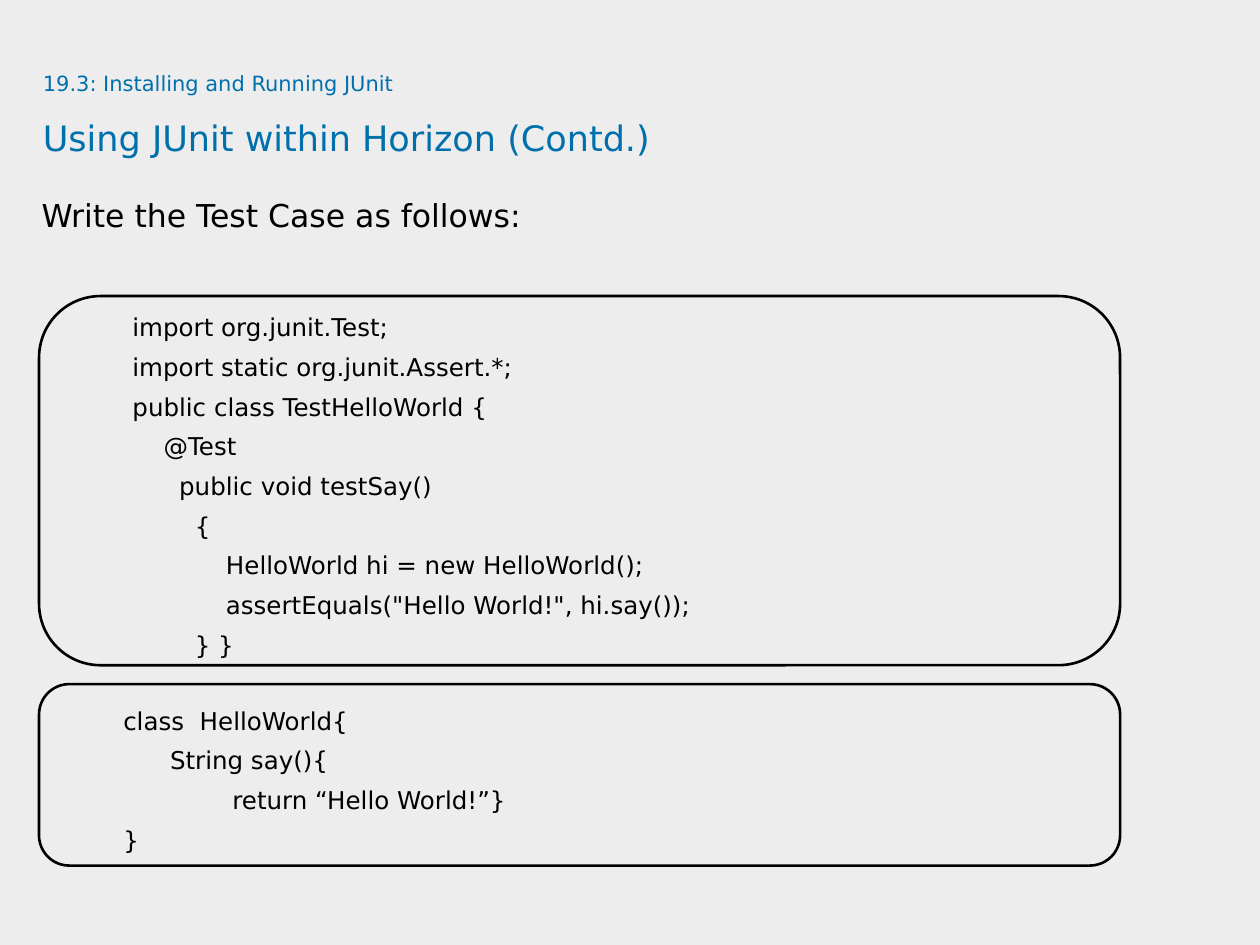
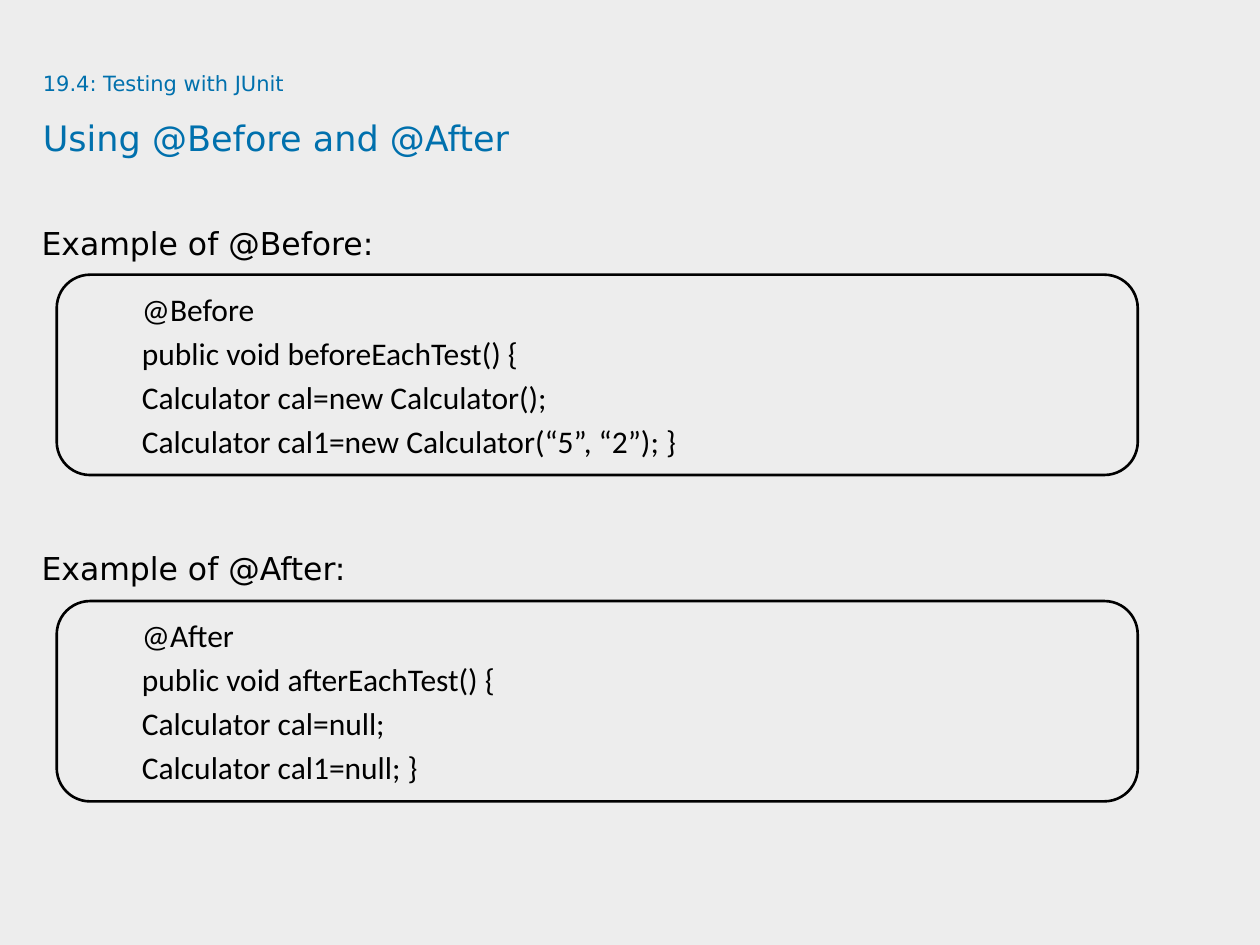
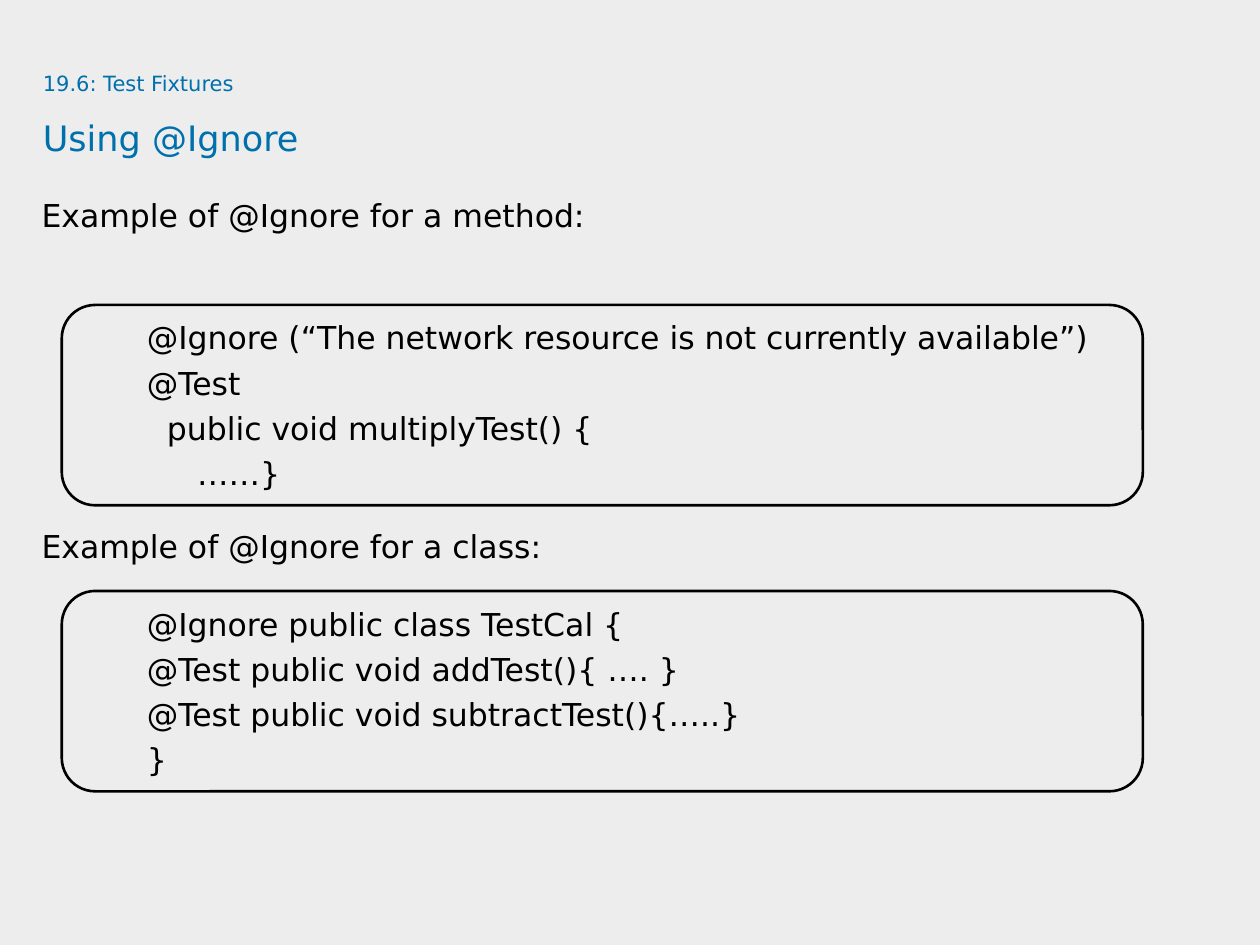
from dataclasses import dataclass

from pptx import Presentation
from pptx.dml.color import RGBColor
from pptx.enum.shapes import MSO_SHAPE
from pptx.enum.text import MSO_ANCHOR, PP_ALIGN
from pptx.util import Inches, Pt


@dataclass(frozen=True)
class Theme:
    back: str = "EDEDED"
    blue: str = "0070AD"
    ink: str = "000000"
    sans: str = "DejaVu Sans"
    plain: str = "Calibri"
    topic: int = 12
    title: int = 20
    body: int = 18
    code: int = 14
    space: float = 0.318  # width of a space in the sans font, in ems


THEME = Theme()
TITLE = (0.34, 0.46, 9.09, 0.94)
BODY = (0.33, 1.63, 9.67, 5.08)
WIDE = 8.58

# Code styles: font, size, line spacing, points before each line
SMALL = (THEME.sans, THEME.code, 1.35, 0)
LARGE = (THEME.sans, THEME.body, 1.0, 4.2)
PLAIN = (THEME.plain, THEME.body, 1.0, 3.6)

# Heads: line spacing and points before each later head.
# Boxes: top, height and code; leading spaces set the indent.
SLIDES = [
    {
        "topic": "19.3: Installing and Running JUnit",
        "title": "Using JUnit within Horizon (Contd.)",
        "heads": ["Write the Test Case as follows:"],
        "pace": (Pt(16.5), 0),
        "left": 0.31,
        "style": SMALL,
        "boxes": [
            (5.43, 1.44, """\
class  HelloWorld{
      String say(){
              return “Hello World!”}
}"""),
            (2.35, 2.93, """\
import org.junit.Test;
import static org.junit.Assert.*;
public class TestHelloWorld {
    @Test
      public void testSay()
        {
            HelloWorld hi = new HelloWorld();
            assertEquals("Hello World!", hi.say());
        } }"""),
        ],
    },
    {
        "topic": "19.4: Testing with JUnit",
        "title": "Using @Before and @After",
        "heads": ["Example of @Before:", "Example of @After:"],
        "pace": (1.5, 153),
        "left": 0.45,
        "style": PLAIN,
        "boxes": [
            (2.18, 1.59, """\
@Before
public void beforeEachTest() {
Calculator cal=new Calculator();
Calculator cal1=new Calculator(“5”, “2”); }"""),
            (4.77, 1.59, """\
@After
public void afterEachTest() {
Calculator cal=null;
Calculator cal1=null; }"""),
        ],
    },
    {
        "topic": "19.6: Test Fixtures",
        "title": "Using @Ignore",
        "heads": ["Example of @Ignore for a method:",
                  "Example of @Ignore for a class:"],
        "pace": (Pt(16.5), 172.5),
        "left": 0.49,
        "style": LARGE,
        "boxes": [
            (2.42, 1.59, """\
@Ignore (“The network resource is not currently available”)
@Test
  public void multiplyTest() {
     ……}"""),
            (4.69, 1.59, """\
@Ignore public class TestCal {
@Test public void addTest(){ …. }
@Test public void subtractTest(){…..}
}"""),
        ],
    },
]


def style(para, font, size, color, pace):
    para.alignment = PP_ALIGN.LEFT
    para.line_spacing = pace
    for run in para.runs:
        run.font.name = font
        run.font.size = Pt(size)
        run.font.color.rgb = RGBColor.from_string(color)


def add_text(slide, place, lines):
    """Add a box without margins and return its paragraphs."""
    frame = slide.shapes.add_textbox(*map(Inches, place)).text_frame
    frame.word_wrap = True
    frame.margin_left = frame.margin_right = 0
    frame.margin_top = frame.margin_bottom = 0
    frame.text = "\n".join(lines)
    return frame.paragraphs


def add_code(slide, place, code, look):
    font, size, pace, gap = look
    box = slide.shapes.add_shape(MSO_SHAPE.ROUNDED_RECTANGLE,
                                 *map(Inches, place))
    box.shadow.inherit = False
    box.fill.background()
    box.line.color.rgb = RGBColor.from_string(THEME.ink)
    box.line.width = Pt(1.5)
    frame = box.text_frame
    frame.word_wrap = True
    frame.vertical_anchor = MSO_ANCHOR.MIDDLE
    lines = code.split("\n")
    frame.text = "\n".join(line.lstrip() for line in lines)
    for para, line in zip(frame.paragraphs, lines):
        style(para, font, size, THEME.ink, pace)
        para.space_before = Pt(gap)
        depth = len(line) - len(line.lstrip())
        left = Inches(0.5) + Pt(depth * size * THEME.space)
        props = para._p.get_or_add_pPr()
        props.set("marL", str(left))
        props.set("indent", "0")


def add_slide(deck, page):
    slide = deck.slides.add_slide(deck.slide_layouts[6])
    fill = slide.background.fill
    fill.solid()
    fill.fore_color.rgb = RGBColor.from_string(THEME.back)

    paras = add_text(slide, TITLE, [page["topic"], page["title"]])
    for para, size in zip(paras, (THEME.topic, THEME.title)):
        style(para, THEME.sans, size, THEME.blue, 1.5)

    pace, gap = page["pace"]
    for i, para in enumerate(add_text(slide, BODY, page["heads"])):
        style(para, THEME.sans, THEME.body, THEME.ink, pace)
        para.space_before = Pt(gap if i else 0)

    for top, high, code in page["boxes"]:
        add_code(slide, (page["left"], top, WIDE, high), code, page["style"])


def main():
    deck = Presentation()
    deck.slide_width, deck.slide_height = Inches(10), Inches(7.5)
    for page in SLIDES:
        add_slide(deck, page)
    deck.save("out.pptx")


if __name__ == "__main__":
    main()
